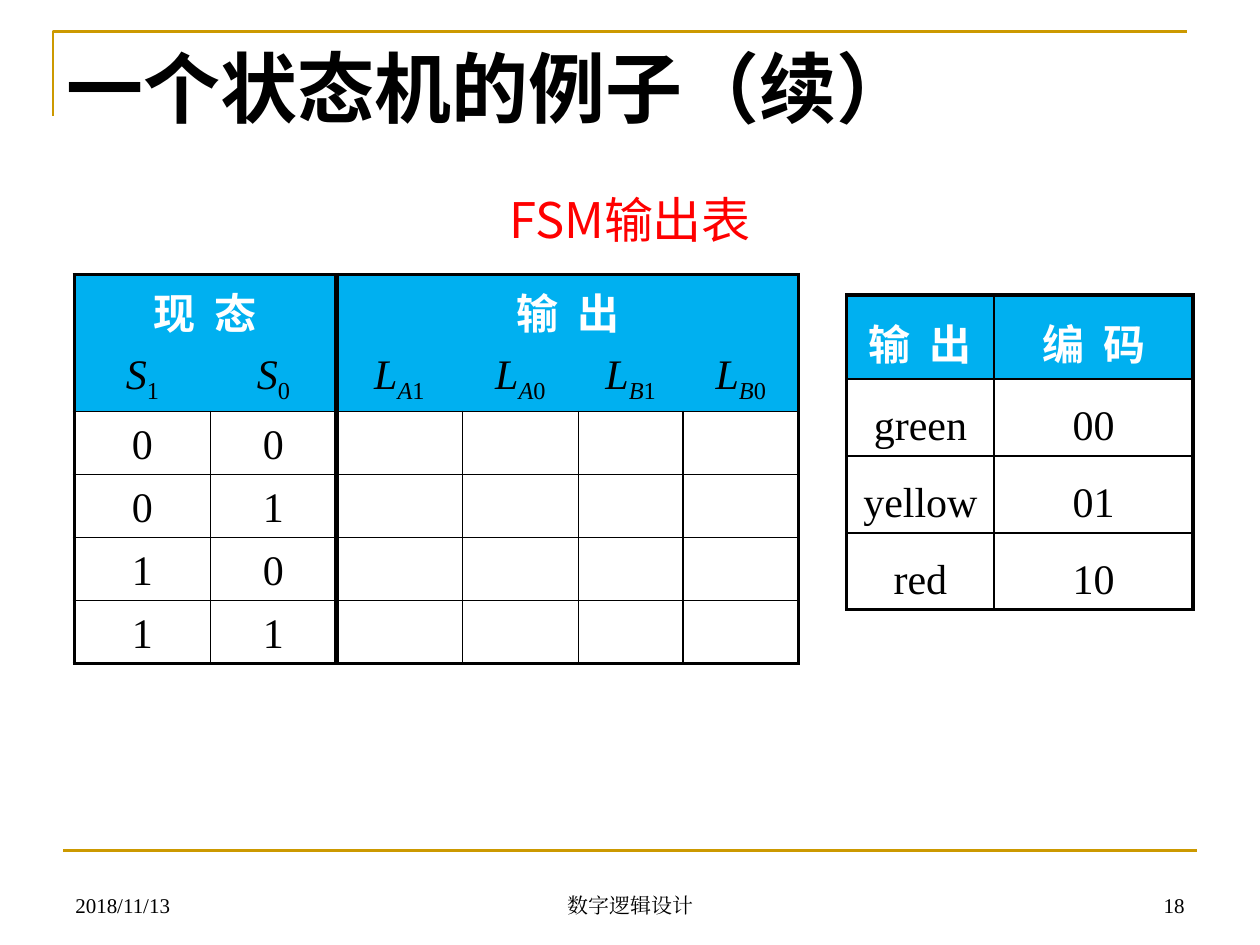
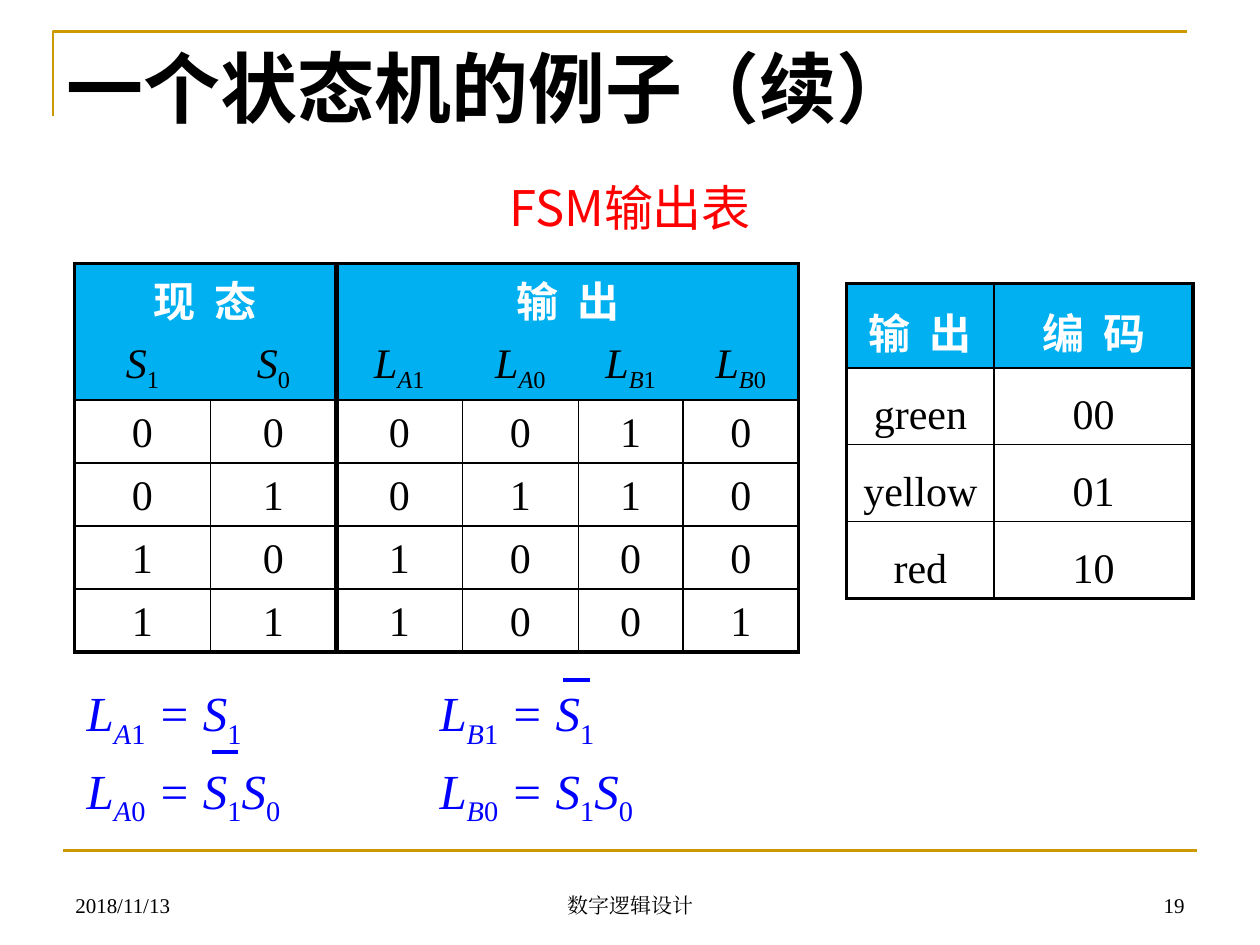
from itertools import groupby

from lxml.etree import SubElement
from pptx import Presentation
from pptx.dml.color import RGBColor
from pptx.enum.shapes import MSO_CONNECTOR
from pptx.enum.text import MSO_ANCHOR, PP_ALIGN
from pptx.oxml.ns import qn
from pptx.util import Inches, Pt

COLORS = {"gold": "CC9900", "black": "000000", "red": "FF0000",
          "blue": "0000FF", "white": "FFFFFF", "header": "00B0F0"}
SANS, SERIF = "Noto Sans CJK SC", "Times New Roman"

FOOTER = {"size": Pt(12), "name": SERIF, "color": "black"}
TITLE = {"size": Pt(44), "name": SANS, "color": "black", "bold": True}
CAPTION = {"size": Pt(28), "name": SANS, "color": "red"}
HEAD = {"size": Pt(24), "name": SANS, "color": "white", "bold": True}
BODY = {"size": Pt(24), "name": SERIF, "color": "black"}
FORMULA = {"size": Pt(28), "name": SERIF, "color": "blue"}

OUTER, DIVIDER, INNER = 2.25, 3, 1
STATES = ["00", "01", "10", "11"]
OUTPUTS = ["0010", "0110", "1000", "1001"]
CODES = [("green", "00"), ("yellow", "01"), ("red", "10")]


def rgb(name):
    """Return the named colour."""
    return RGBColor.from_string(COLORS[name])


def add_run(p, text, fmt):
    """Add a run; baseline and spc are XML attributes, the rest font values."""
    r = p.add_run()
    r.text = text
    rPr = r._r.get_or_add_rPr()
    for key, value in fmt.items():
        if key == "color":
            r.font.color.rgb = rgb(value)
        elif key in ("baseline", "spc"):
            rPr.set(key, str(value))
        else:
            setattr(r.font, key, value)
    SubElement(rPr, qn("a:ea")).set("typeface", fmt["name"])


def add_math(p, text, fmt):
    """Write symbols in italics, with A, B and digits as subscripts."""
    for (italic, sub), chars in groupby(text, lambda c: (not c.isdigit(), c in "AB01")):
        style = {"italic": italic, "baseline": -25000 if sub else 0}
        add_run(p, "".join(chars), {**fmt, **style})


def add_spaced(p, text, fmt):
    """Write a two-character heading with a widened gap."""
    first, last = text
    add_run(p, first, fmt)
    add_run(p, " ", {**fmt, "spc": 540})
    add_run(p, last, fmt)


def add_text(s, box, lines, fmt, align=PP_ALIGN.LEFT, anchor=MSO_ANCHOR.MIDDLE,
             write=add_run):
    """Add a text box with one paragraph per line."""
    tf = s.shapes.add_textbox(*map(Inches, box)).text_frame
    tf.word_wrap = True
    tf.vertical_anchor = anchor
    for i, line in enumerate(lines):
        p = tf.add_paragraph() if i else tf.paragraphs[0]
        p.alignment = align
        if i:
            p.space_before = Pt(6)
        write(p, line, fmt)


def add_line(s, x1, x2, y, color, width):
    """Add a horizontal line."""
    ends = map(Inches, (x1, y, x2, y))
    line = s.shapes.add_connector(MSO_CONNECTOR.STRAIGHT, *ends)
    line.line.color.rgb = rgb(color)
    line.line.width = Pt(width)
    SubElement(line._element.spPr, qn("a:effectLst"))


def add_corner(s):
    """Add the gold corner rule around the title."""
    builder = s.shapes.build_freeform(Inches(0.42), Inches(0.92))
    points = [(Inches(0.42), Inches(0.25)), (Inches(9.42), Inches(0.25))]
    builder.add_line_segments(points, close=False)
    sp = builder.convert_to_shape()
    sp.shadow.inherit = False
    sp.fill.background()
    sp.line.color.rgb = rgb("gold")
    sp.line.width = Pt(1.5)


def set_border(cell, side, width):
    """Draw one side of a cell; a zero width hides it."""
    ln = SubElement(cell._tc.get_or_add_tcPr(), qn(f"a:ln{side}"), w=str(Pt(width)))
    if width:
        fill = SubElement(ln, qn("a:solidFill"))
        SubElement(fill, qn("a:srgbClr"), val=COLORS["black"])
    else:
        SubElement(ln, qn("a:noFill"))


def add_table(s, left, top, cols, rows, head_rows, open_rows=0, divider=None, spans=()):
    """Add a ruled table whose open rows have no inner borders."""
    size = map(Inches, (left, top, sum(cols), sum(rows)))
    table = s.shapes.add_table(len(rows), len(cols), *size).table
    table.first_row = table.horz_banding = False
    for col, width in zip(table.columns, cols):
        col.width = Inches(width)
    for row, height in zip(table.rows, rows):
        row.height = Inches(height)
    for first, last in spans:
        table.cell(0, first).merge(table.cell(0, last))

    def vertical(r, c):
        """Width of the border left of column c."""
        if c in (0, len(cols)):
            return OUTER
        return DIVIDER if c == divider else INNER * (r >= open_rows)

    def horizontal(r):
        """Width of the border above row r."""
        return OUTER if r in (0, len(rows)) else INNER * (r >= open_rows)

    for r in range(len(rows)):
        for c in range(len(cols)):
            cell = table.cell(r, c)
            right = c + (cell.span_width if cell.is_merge_origin else 1)
            widths = {"L": vertical(r, c), "R": vertical(r, right),
                      "T": horizontal(r), "B": horizontal(r + 1)}
            for side, width in widths.items():
                set_border(cell, side, width)
            if r < head_rows:
                cell.fill.solid()
                cell.fill.fore_color.rgb = rgb("header")
            else:
                cell.fill.background()
    return table


def fill_row(table, r, texts, fmt, write=add_run, step=1):
    """Write centred texts along a row, one in every step columns."""
    for i, text in enumerate(texts):
        cell = table.cell(r, i * step)
        cell.vertical_anchor = MSO_ANCHOR.BOTTOM
        cell.margin_top, cell.margin_bottom = 0, Inches(0.05)
        p = cell.text_frame.paragraphs[0]
        p.alignment = PP_ALIGN.CENTER
        write(p, text, fmt)


def add_output_table(s, top, outputs):
    """Add the state and output table."""
    table = add_table(s, 0.59, top, [1.08, 1, 1, 0.92, 0.83, 0.92],
                      [0.58, 0.48] + [0.5] * len(STATES), head_rows=2,
                      open_rows=2, divider=2, spans=[(0, 1), (2, 5)])
    fill_row(table, 0, ["现态", "输出"], HEAD, add_spaced, step=2)
    fill_row(table, 1, ["S1", "S0", "LA1", "LA0", "LB1", "LB0"], BODY, add_math)
    for r, (state, output) in enumerate(zip(STATES, outputs), 2):
        fill_row(table, r, state + output, BODY)


def add_code_table(s, top):
    """Add the output encoding table."""
    table = add_table(s, 6.72, top, [1.17, 1.58], [0.67] + [0.61] * len(CODES),
                      head_rows=1)
    fill_row(table, 0, ["输出", "编码"], HEAD, add_spaced)
    for r, code in enumerate(CODES, 1):
        fill_row(table, r, code, BODY)


def add_formulas(s, left, lines, bar_left, bar_top):
    """Add two output equations and the bar over the negated symbol."""
    add_text(s, (left, 5.37, 2.24, 1.14), lines, FORMULA,
             anchor=MSO_ANCHOR.TOP, write=add_math)
    add_line(s, bar_left, bar_left + 0.21, bar_top, "blue", 2.25)


def add_fsm_slide(prs, number, top, outputs):
    """Add a slide with frame, footer, title and both tables."""
    s = prs.slides.add_slide(prs.slide_layouts[6])
    add_corner(s)
    add_line(s, 0.5, 9.5, 6.75, "gold", 1.5)
    footers = [(0.5, 2.33, "2018/11/13", PP_ALIGN.LEFT),
               (3.42, 3.17, "数字逻辑设计", PP_ALIGN.CENTER),
               (7.17, 2.33, str(number), PP_ALIGN.RIGHT)]
    for left, width, text, align in footers:
        add_text(s, (left, 6.83, width, 0.5), [text], FOOTER, align, MSO_ANCHOR.BOTTOM)
    add_text(s, (0.43, 0.27, 7.72, 0.83), ["一个状态机的例子（续）"], TITLE)
    add_text(s, (2.48, top - 0.73, 5.04, 0.57), ["FSM输出表"], CAPTION, PP_ALIGN.CENTER)
    add_output_table(s, top, outputs)
    add_code_table(s, top + 0.16)
    return s


def main():
    """Build both slides and save the deck."""
    prs = Presentation()
    prs.slide_width, prs.slide_height = Inches(10), Inches(7.5)
    add_fsm_slide(prs, 18, 2.18, [""] * len(STATES))
    s = add_fsm_slide(prs, 19, 2.09, OUTPUTS)
    add_formulas(s, 0.59, ["LA1 = S1", "LA0 = S1S0"], 1.68, 5.97)
    add_formulas(s, 3.39, ["LB1 = S1", "LB0 = S1S0"], 4.47, 5.4)
    prs.save("out.pptx")


if __name__ == "__main__":
    main()
